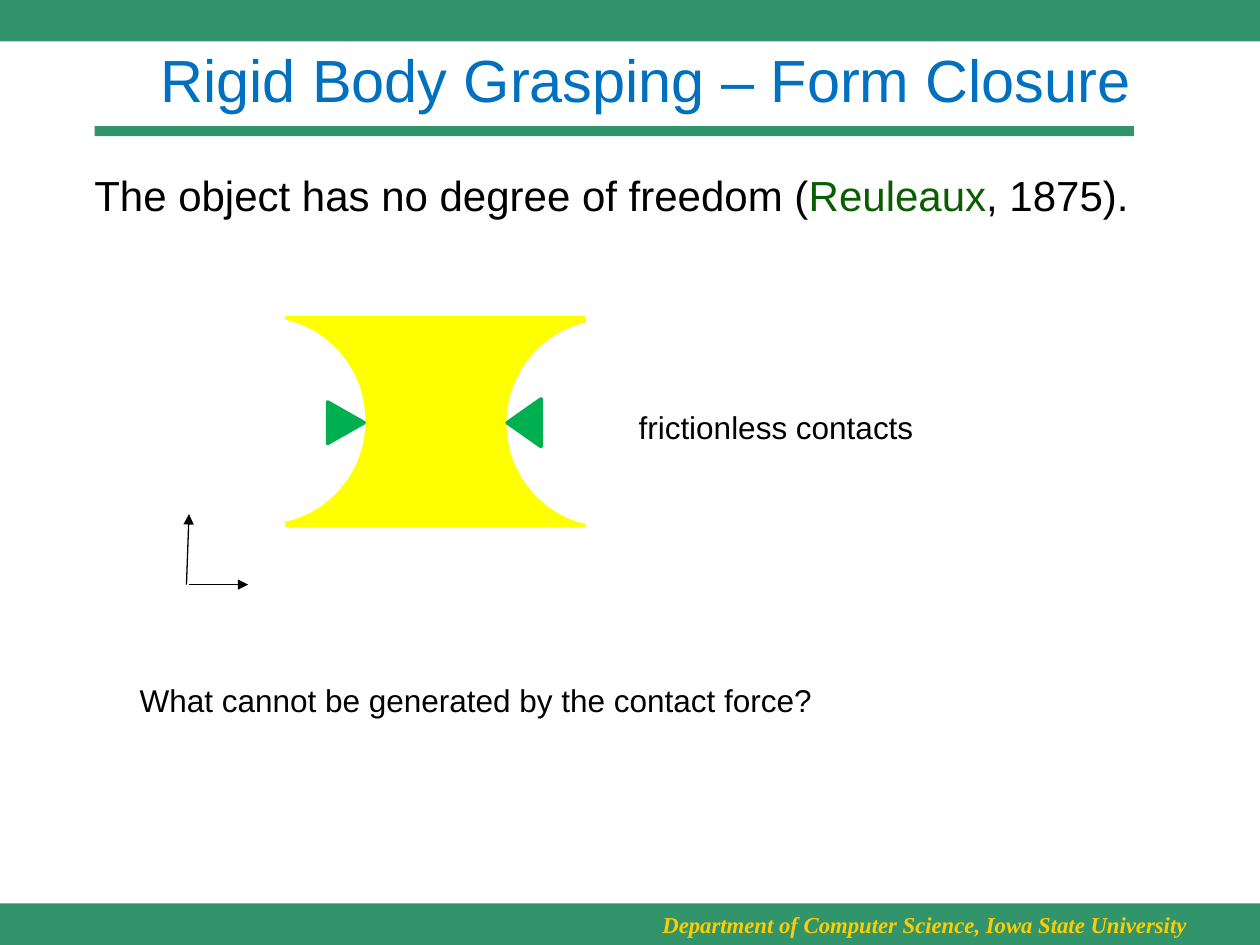
from dataclasses import dataclass

from lxml.etree import SubElement
from pptx import Presentation
from pptx.dml.color import RGBColor
from pptx.enum.shapes import MSO_CONNECTOR as Connector, MSO_SHAPE as Preset
from pptx.enum.text import MSO_ANCHOR as Anchor, PP_ALIGN as Align
from pptx.oxml.ns import qn
from pptx.util import Inches, Pt


@dataclass(frozen=True)
class Theme:
    band: str = "32946A"
    title: str = "0070C0"
    footer: str = "FFCC00"
    ink: str = "000000"
    name: str = "095E02"
    body: str = "FFFF00"
    paper: str = "FFFFFF"
    contact: str = "00B050"
    sans: str = "Arial"
    serif: str = "Times New Roman"
    title_size: int = 34
    lead_size: int = 24
    label_size: int = 18
    footer_size: int = 13
    outline: float = 2
    axis: float = 0.75


THEME = Theme()


def color(value):
    return RGBColor.from_string(value)


def add_filled(shapes, preset, box, fill, outlined=False, rotation=0):
    shape = shapes.add_shape(preset, *map(Inches, box))
    shape.shadow.inherit = False
    shape.rotation = rotation
    shape.fill.solid()
    shape.fill.fore_color.rgb = color(fill)
    if outlined:
        shape.line.color.rgb = color(fill)
        shape.line.width = Pt(THEME.outline)
    else:
        shape.line.fill.background()


def add_text(slide, box, runs, size, font=THEME.sans, align=Align.LEFT,
             anchor=Anchor.TOP, wrap=False, emphasis=False):
    frame = slide.shapes.add_textbox(*map(Inches, box)).text_frame
    frame.word_wrap = wrap
    frame.vertical_anchor = anchor
    paragraph = frame.paragraphs[0]
    paragraph.alignment = align
    for text, ink in runs:
        run = paragraph.add_run()
        run.text = text
        run.font.name = font
        run.font.size = Pt(size)
        run.font.bold = run.font.italic = emphasis
        run.font.color.rgb = color(ink)


def add_arrow(shapes, start, end):
    arrow = shapes.add_connector(Connector.STRAIGHT, *map(Inches, start + end))
    arrow.line.color.rgb = color(THEME.ink)
    arrow.line.width = Pt(THEME.axis)
    SubElement(arrow.line._get_or_add_ln(), qn("a:tailEnd"), type="triangle")
    SubElement(arrow._element.spPr, qn("a:effectLst"))


def add_frame(slide):
    for box in ((0, 7.17, 10, 0.33), (0, 0, 10, 0.33), (0.75, 1, 8.25, 0.08)):
        add_filled(slide.shapes, Preset.RECTANGLE, box, THEME.band)
    add_text(slide, (5.13, 7.18, 4.41, 0.32),
             [("Department of Computer Science, Iowa State University", THEME.footer)],
             THEME.footer_size, THEME.serif, Align.CENTER, emphasis=True)
    add_text(slide, (0.75, 0, 8.75, 1.25),
             [("Rigid Body Grasping – Form Closure", THEME.title)],
             THEME.title_size, align=Align.CENTER, anchor=Anchor.MIDDLE, wrap=True)


def add_grasp(slide):
    shapes = slide.shapes.add_group_shape().shapes
    add_filled(shapes, Preset.RECTANGLE, (2.28, 2.52, 2.36, 1.65), THEME.body, True)
    for left, top in ((4.02, 2.54), (1.28, 2.52)):
        add_filled(shapes, Preset.OVAL, (left, top, 1.62, 1.64), THEME.paper)
    for box, rotation in (((3.97, 3.22, 0.38, 0.27), 270), ((2.58, 3.21, 0.33, 0.29), 90)):
        add_filled(shapes, Preset.ISOSCELES_TRIANGLE, box, THEME.contact, True, rotation)


def add_axes(slide):
    shapes = slide.shapes.add_group_shape().shapes
    add_arrow(shapes, (1.48, 4.64), (1.5, 4.08))
    add_arrow(shapes, (1.5, 4.64), (1.97, 4.64))


def main():
    presentation = Presentation()
    presentation.slide_width = Inches(10)
    presentation.slide_height = Inches(7.5)
    slide = presentation.slides.add_slide(presentation.slide_layouts[6])
    add_frame(slide)
    add_text(slide, (0.65, 1.3, 8.59, 0.5),
             [("The object has no degree of freedom (", THEME.ink),
              ("Reuleaux", THEME.name), (", 1875).", THEME.ink)], THEME.lead_size)
    add_grasp(slide)
    add_text(slide, (4.97, 3.19, 2.4, 0.4),
             [("frictionless contacts", THEME.ink)], THEME.label_size)
    add_text(slide, (1.01, 5.36, 5.73, 0.4),
             [("What cannot be generated by the contact force?", THEME.ink)],
             THEME.label_size)
    add_axes(slide)
    presentation.save("out.pptx")


if __name__ == "__main__":
    main()
